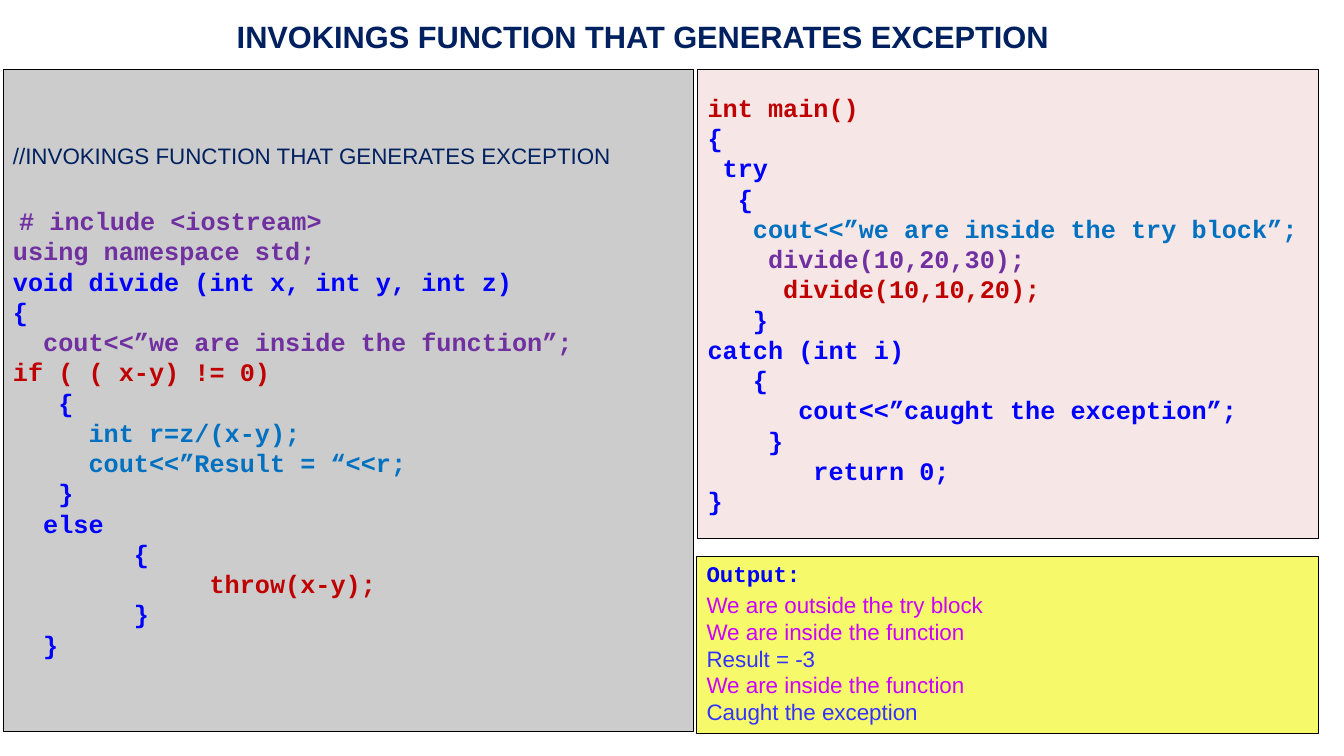
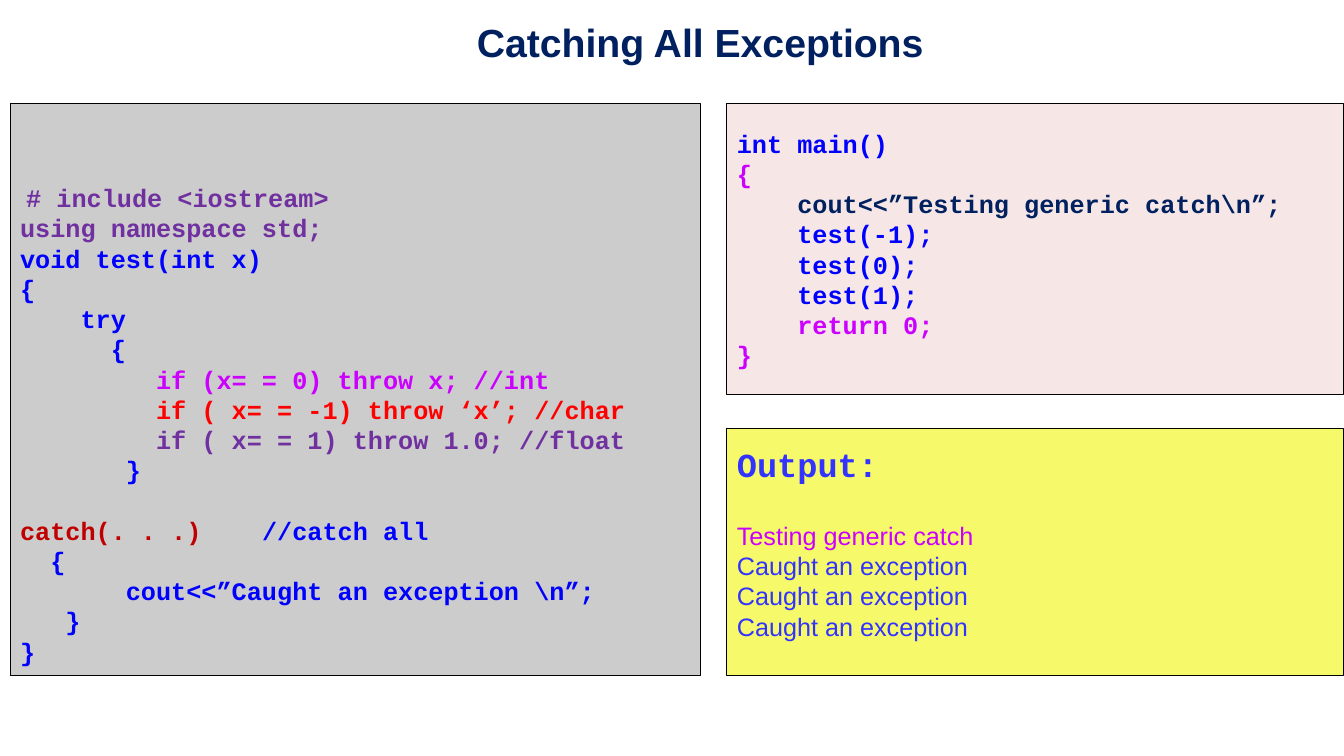
from pptx import Presentation
from pptx.dml.color import RGBColor
from pptx.enum import shapes, text
from pptx.util import Inches, Pt

NAVY = RGBColor(0x00, 0x20, 0x60)
PURPLE = RGBColor(0x70, 0x30, 0xA0)
BLUE = RGBColor(0x00, 0x00, 0xFF)
SKY = RGBColor(0x00, 0x70, 0xC0)
CRIMSON = RGBColor(0xC0, 0x00, 0x00)
RED = RGBColor(0xFF, 0x00, 0x00)
MAGENTA = RGBColor(0xCC, 0x00, 0xFF)
INDIGO = RGBColor(0x33, 0x33, 0xFF)
BLACK = RGBColor(0x00, 0x00, 0x00)
GREY_PANEL = RGBColor(0xCC, 0xCC, 0xCC)
PINK_PANEL = RGBColor(0xF6, 0xE7, 0xE6)
YELLOW_PANEL = RGBColor(0xF6, 0xF9, 0x69)

LINE_HEIGHT = 1.2
INSETS = (0.05, 0.05)


def style(name, size, bold):
    return {"name": name, "size": Pt(size), "bold": bold}


CODE = style("Courier New", 18, True)
SMALL_HEAD = style("Courier New", 16, True)
LARGE_HEAD = style("Courier New", 24, True)
PLAIN = style("Arial", 18, False)
SMALL_PLAIN = style("Arial", 16, False)


def line(content, color, look=CODE, before=0):
    """Describe one line of a single colour."""
    return before, [(content, color, look)]


def include_lines(before=0):
    """Describe the opening lines that both programs share."""
    return [
        (before, [(" ", PURPLE, SMALL_PLAIN), ("# include <iostream>", PURPLE, CODE)]),
        line("using namespace std;", PURPLE),
    ]


def write_lines(frame, lines, insets=INSETS, align=text.PP_ALIGN.LEFT):
    frame.word_wrap = True
    frame.margin_left = frame.margin_right = Inches(0.1)
    frame.margin_top, frame.margin_bottom = map(Inches, insets)
    for index, (before, segments) in enumerate(lines):
        paragraph = frame.add_paragraph() if index else frame.paragraphs[0]
        paragraph.alignment = align
        tallest = max(look["size"].pt for _, _, look in segments)
        paragraph.line_spacing = Pt(round(tallest * LINE_HEIGHT, 1))
        if before:
            paragraph.space_before = Pt(before)
        for content, color, look in segments:
            run = paragraph.add_run()
            run.text = content
            run.font.color.rgb = color
            for key, value in look.items():
                setattr(run.font, key, value)


def add_title(slide, box, content, size, align):
    frame = slide.shapes.add_textbox(*map(Inches, box)).text_frame
    write_lines(frame, [line(content, NAVY, style("Arial", size, True))], align=align)


def add_panel(slide, box, fill, lines, insets=INSETS):
    panel = slide.shapes.add_shape(shapes.MSO_SHAPE.RECTANGLE, *map(Inches, box))
    panel.shadow.inherit = False
    panel.fill.solid()
    panel.fill.fore_color.rgb = fill
    panel.line.color.rgb = BLACK
    panel.line.width = Pt(0.75)
    panel.text_frame.vertical_anchor = text.MSO_ANCHOR.MIDDLE
    write_lines(panel.text_frame, lines, insets)


def build_invoking_slide(slide):
    heading = "INVOKINGS FUNCTION THAT GENERATES EXCEPTION"
    add_panel(slide, (0.03, 0.69, 6.85, 6.57), GREY_PANEL, [
        line("//" + heading, NAVY, SMALL_PLAIN),
        *include_lines(before=26),
        line("void divide (int x, int y, int z)", BLUE),
        line("{", BLUE),
        line("  cout<<”we are inside the function”;", PURPLE),
        line("if ( ( x-y) != 0)", CRIMSON),
        line("   {", BLUE),
        line("     int r=z/(x-y);", SKY),
        line("     cout<<”Result = “<<r;", SKY),
        line("   }", BLUE),
        line("  else", BLUE),
        line("        {", BLUE),
        line("             throw(x-y);", CRIMSON),
        line("        }", BLUE),
        line("  }", BLUE),
    ])
    add_panel(slide, (6.92, 0.69, 6.16, 4.65), PINK_PANEL, [
        line("int main()", CRIMSON),
        line("{", BLUE),
        line(" try", BLUE),
        line("  {", BLUE),
        line("   cout<<”we are inside the try block”;", SKY),
        line("    divide(10,20,30);", PURPLE),
        line("     divide(10,10,20);", CRIMSON),
        line("   }", BLUE),
        line("catch (int i)", BLUE),
        line("   {", BLUE),
        line("      cout<<”caught the exception”;", BLUE),
        line("    }", BLUE),
        line("       return 0;", BLUE),
        line("}", BLUE),
    ])
    add_panel(slide, (6.91, 5.52, 6.17, 1.76), YELLOW_PANEL, [
        line("Output:", BLUE, SMALL_HEAD),
        line("We are outside the try block", MAGENTA, SMALL_PLAIN, before=3),
        line("We are inside the function", MAGENTA, SMALL_PLAIN),
        line("Result = -3", INDIGO, SMALL_PLAIN),
        line("We are inside the function", MAGENTA, SMALL_PLAIN),
        line("Caught the exception", INDIGO, SMALL_PLAIN),
    ], insets=(0.03, 0.08))
    add_title(slide, (2.25, 0.13, 9.33, 0.47), heading, 22, text.PP_ALIGN.JUSTIFY)


def build_catch_all_slide(slide):
    add_panel(slide, (0.1, 1.03, 6.85, 5.67), GREY_PANEL, [
        *include_lines(),
        line("void test(int x)", BLUE),
        line("{", BLUE),
        line("    try", BLUE),
        line("      {", BLUE),
        line("         if (x= = 0) throw x; //int", MAGENTA),
        line("         if ( x= = -1) throw ‘x’; //char", RED),
        line("         if ( x= = 1) throw 1.0; //float", PURPLE),
        line("       }", BLUE),
        (21.6, [("catch(. . .)    ", CRIMSON, CODE), ("//catch all", BLUE, CODE)]),
        line("  {", BLUE),
        line("       cout<<”Caught an exception \\n”;", BLUE),
        line("   }", BLUE),
        line("}", BLUE),
    ], insets=(0.78, 0.09))
    add_panel(slide, (7.21, 1.03, 6.12, 2.88), PINK_PANEL, [
        line("int main()", BLUE),
        line("{", MAGENTA),
        line("    cout<<”Testing generic catch\\n”;", NAVY),
        *[line(f"    test({value});", BLUE) for value in (-1, 0, 1)],
        line("    return 0;", MAGENTA),
        line("}", MAGENTA),
    ])
    add_panel(slide, (7.21, 4.25, 6.12, 2.45), YELLOW_PANEL, [
        line("Output:", INDIGO, LARGE_HEAD),
        line("Testing generic catch", MAGENTA, PLAIN, before=26),
        *[line("Caught an exception", INDIGO, PLAIN)] * 3,
    ], insets=(0.15, 0.34))
    add_title(slide, (2.28, 0.13, 9.33, 0.57), "Catching All Exceptions", 28,
              text.PP_ALIGN.CENTER)


def main():
    deck = Presentation()
    deck.slide_width, deck.slide_height = Inches(13.33), Inches(7.5)
    for build in (build_invoking_slide, build_catch_all_slide):
        build(deck.slides.add_slide(deck.slide_layouts[6]))
    deck.save("out.pptx")


if __name__ == "__main__":
    main()
